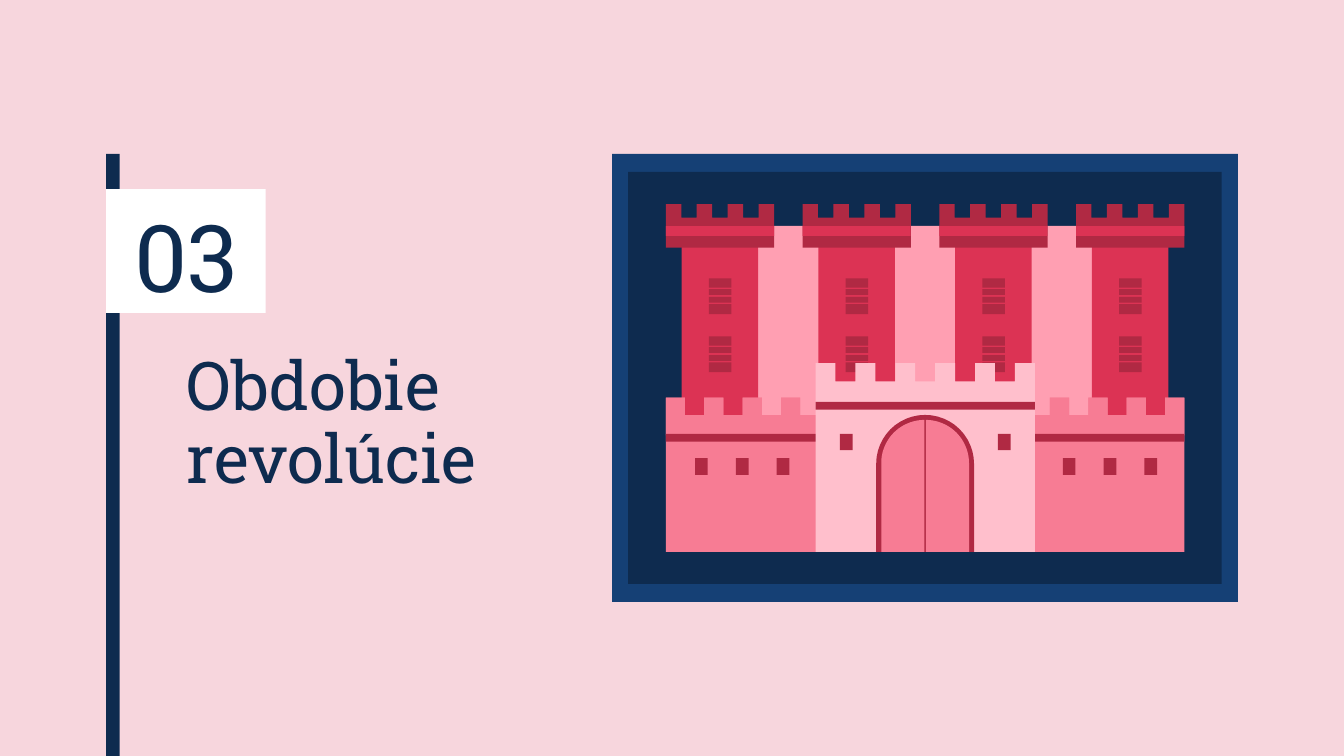
from math import cos, pi, sin

from pptx import Presentation
from pptx import util as u
from pptx.dml.color import RGBColor
from pptx.enum import shapes, text

NAVY = RGBColor(0x0E, 0x2B, 0x4F)
BLUE = RGBColor(0x15, 0x40, 0x75)
BLUSH = RGBColor(0xF7, 0xD6, 0xDD)
PINK = RGBColor(0xFF, 0x9F, 0xB2)
PALE = RGBColor(0xFF, 0xBF, 0xCC)
ROSE = RGBColor(0xF7, 0x7C, 0x94)
RED = RGBColor(0xDC, 0x33, 0x54)
WINE = RGBColor(0xB0, 0x29, 0x43)
WHITE = RGBColor(0xFF, 0xFF, 0xFF)


class Stage:
    """Holds the text style and the current slide, and draws on it in points."""

    font = "Roboto Slab"

    def __init__(self, deck, back):
        self.slide = deck.slides.add_slide(deck.slide_layouts[0])
        self.slide.background.fill.solid()
        self.slide.background.fill.fore_color.rgb = back
        self.pen = self.slide.shapes

    def group(self):
        self.pen = self.slide.shapes.add_group_shape().shapes

    def paint(self, shape, fill):
        shape.shadow.inherit = False
        shape.fill.solid()
        shape.fill.fore_color.rgb = fill
        shape.line.fill.background()

    def rect(self, x, y, w, h, fill):
        box = [u.Pt(v) for v in (x, y, w, h)]
        kind = shapes.MSO_SHAPE.RECTANGLE
        self.paint(self.pen.add_shape(kind, *box), fill)

    def outline(self, dots, fill):
        dots = [(u.Pt(x), u.Pt(y)) for x, y in dots]
        path = self.pen.build_freeform(*dots[0])
        path.add_line_segments(dots[1:], close=True)
        self.paint(path.convert_to_shape(), fill)

    def crown(self, x, w, count, top, notch, base, fill, teeth=None):
        step = w / count
        teeth = teeth or range(0, count, 2)
        dots = [(x, base)]
        for i in range(count):
            y = top if i in teeth else notch
            dots += [(x + i * step, y), (x + (i + 1) * step, y)]
        self.outline(dots + [(x + w, base)], fill)

    def arch(self, x, top, base, r, start, end, fill):
        turns = [start + (end - start) * i / 24 for i in range(25)]
        dots = [(x - r * cos(t), top + r - r * sin(t)) for t in turns]
        self.outline([(dots[0][0], base)] + dots + [(dots[-1][0], base)], fill)

    def words(self, index, box, lines, size, align, space):
        hold = self.slide.placeholders[index]
        for key, val in zip(("left", "top", "width", "height"), box):
            setattr(hold, key, u.Pt(val))
        frame = hold.text_frame
        frame.text = "\n".join(lines)
        pad = dict.fromkeys(("margin_left", "margin_top", "margin_right", "margin_bottom"), u.Pt(7.2))
        look = {"word_wrap": True, "auto_size": text.MSO_AUTO_SIZE.NONE,
                "vertical_anchor": text.MSO_ANCHOR.MIDDLE, **pad}
        for key, val in look.items():
            setattr(frame, key, val)
        flow = {"alignment": align, "line_spacing": space,
                "space_before": u.Pt(0), "space_after": u.Pt(0)}
        for para in frame.paragraphs:
            for key, val in flow.items():
                setattr(para, key, val)
            for run in para.runs:
                for key, val in {"name": self.font, "size": u.Pt(size), "bold": False}.items():
                    setattr(run.font, key, val)
                run.font.color.rgb = NAVY
        self.slide.shapes._spTree.append(hold._element)


def tower(st, x):
    st.rect(x + 8.5, 128.2, 41, 108.7, RED)
    st.crown(x, 58, 7, 109.4, 116.6, 132.7, WINE)
    st.rect(x, 121.2, 58, 5.2, RED)
    for top in (149.1, 180.2):
        for y, h in ((0, 5), (5.8, 3.1), (10, 3.1), (13.9, 5.3)):
            st.rect(x + 23.1, top + y, 12, h, WINE)


def castle(st):
    left, wide, base = 356.7, 277.8, 295.7
    st.rect(327.9, 82.5, 335.3, 240, BLUE)
    st.rect(336.5, 92.1, 318, 220.8, NAVY)
    st.rect(365.8, 121, 259.2, 104.4, PINK)
    for i in range(4):
        tower(st, left + i * 73.26)
    teeth = (0, 2, 4, 6, 20, 22, 24, 26)
    for low in (base, 233.3):
        st.crown(left, wide, 27, 213, 222.4, low, ROSE, teeth)
    st.rect(left, 232.5, wide, 4.2, WINE)
    st.crown(436.9, 117.5, 11, 194.6, 204.3, base, PALE)
    st.rect(436.9, 215.3, 117.5, 4.2, WINE)
    for x in (450, 534.6):
        st.rect(x, 232.5, 6.8, 8.7, WINE)
    for start in (372.4, 569.4):
        for i in range(3):
            st.rect(start + i * 21.85, 245.4, 6.8, 9, WINE)
    mid = 495.6
    st.arch(mid, 222.3, base, 26.2, 0, pi, WINE)
    st.arch(mid - 0.4, 225, base, 23.1, 0, pi / 2, ROSE)
    st.arch(mid + 0.4, 225, base, 23.1, pi / 2, pi, ROSE)


def main():
    deck = Presentation()
    deck.slide_width, deck.slide_height = u.Pt(720), u.Pt(405)
    st = Stage(deck, BLUSH)
    side = text.PP_ALIGN
    st.words(0, (92.9, 173.5, 198.7, 108.7), ("Obdobie", "revolúcie"), 36, side.LEFT, 0.9)
    st.group()
    castle(st)
    st.group()
    st.rect(56.9, 82.5, 7.2, 322.5, NAVY)
    st.rect(56.9, 101.3, 85.4, 66.3, WHITE)
    st.words(1, (56.9, 103.7, 85.4, 66.3), ("03",), 50, side.CENTER, 1.0)
    deck.save("out.pptx")


main()
